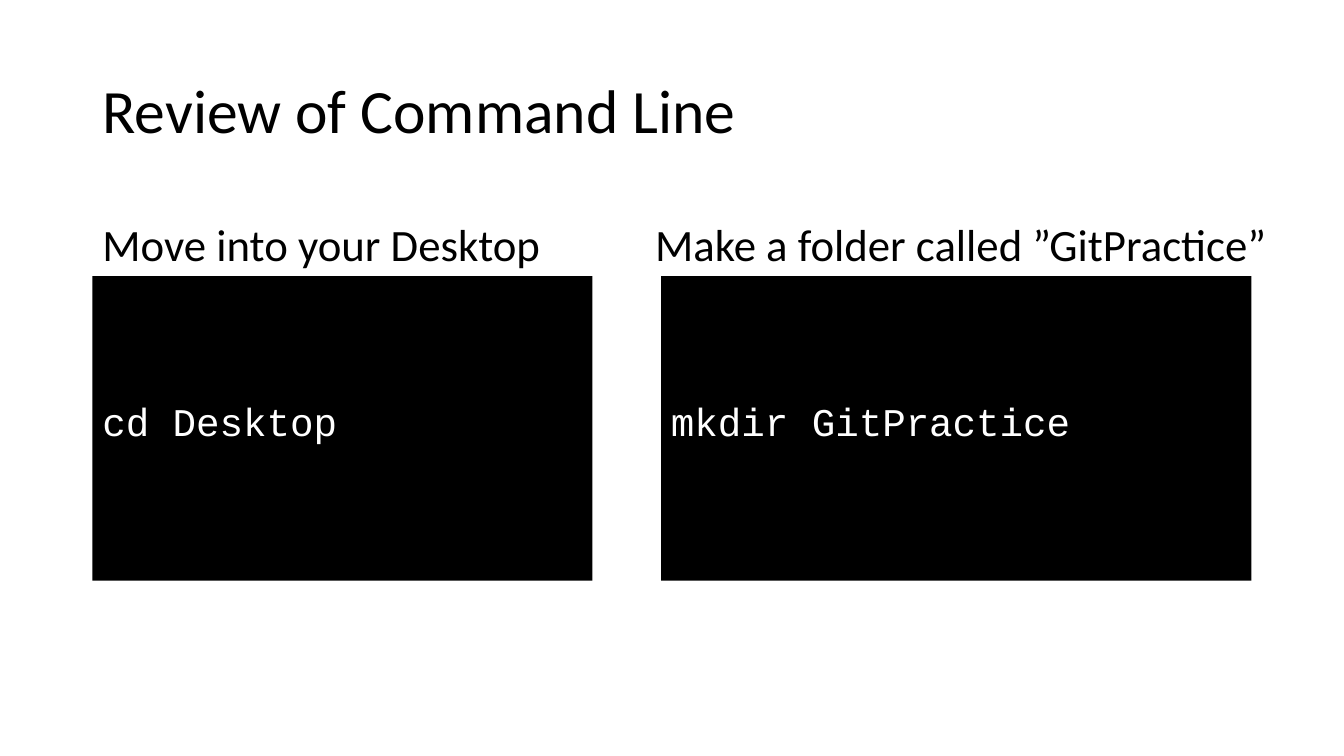
import pptx
import pptx.dml.color
import pptx.enum.shapes
import pptx.enum.text
import pptx.util

Cm = pptx.util.Cm
Anchor = pptx.enum.text.MSO_ANCHOR
COLOURS = {"ink": "000000", "terminal": "000000", "command": "FFFFFF"}


def write(shape, text, size, font, colour, anchor):
    """Put one left-aligned line of text into a shape."""
    frame = shape.text_frame
    frame.text = text
    frame.word_wrap = True
    frame.auto_size = pptx.enum.text.MSO_AUTO_SIZE.NONE
    frame.vertical_anchor = anchor
    line = frame.paragraphs[0]
    line.alignment = pptx.enum.text.PP_ALIGN.LEFT
    line.line_spacing = 0.9
    line.font.size = pptx.util.Pt(size)
    line.font.name = font
    line.font.color.rgb = pptx.dml.color.RGBColor.from_string(COLOURS[colour])


deck = pptx.Presentation()
deck.slide_width, deck.slide_height = Cm(33.87), Cm(19.05)
slide = deck.slides.add_slide(deck.slide_layouts[5])

title = slide.shapes.title
title.left, title.top = Cm(2.33), Cm(1.01)
title.width, title.height = Cm(29.21), Cm(3.68)
write(title, "Review of Command Line", 44, "Calibri", "ink", Anchor.MIDDLE)

heading_top, heading_height = 4.67, 2.29
terminal_top, terminal_height = heading_top + heading_height, 7.67

# heading, its left and width, command, its left and width
steps = [
    ("Move into your Desktop", 2.33, 12.6, "cd Desktop", 2.33, 12.6),
    ("Make a folder called ”GitPractice”", 16.26, 16.18, "mkdir GitPractice", 16.66, 14.88),
]

for task, task_left, task_width, command, terminal_left, terminal_width in steps:
    heading = slide.shapes.add_textbox(
        Cm(task_left), Cm(heading_top), Cm(task_width), Cm(heading_height))
    write(heading, task, 32, "Calibri", "ink", Anchor.BOTTOM)

    terminal = slide.shapes.add_shape(
        pptx.enum.shapes.MSO_SHAPE.RECTANGLE,
        Cm(terminal_left), Cm(terminal_top), Cm(terminal_width), Cm(terminal_height))
    terminal.shadow.inherit = False
    terminal.fill.solid()
    terminal.fill.fore_color.rgb = pptx.dml.color.RGBColor.from_string(COLOURS["terminal"])
    terminal.line.fill.background()
    write(terminal, command, 28, "Courier New", "command", Anchor.MIDDLE)
    terminal.text_frame.margin_bottom = Cm(0.36)

deck.save("out.pptx")
